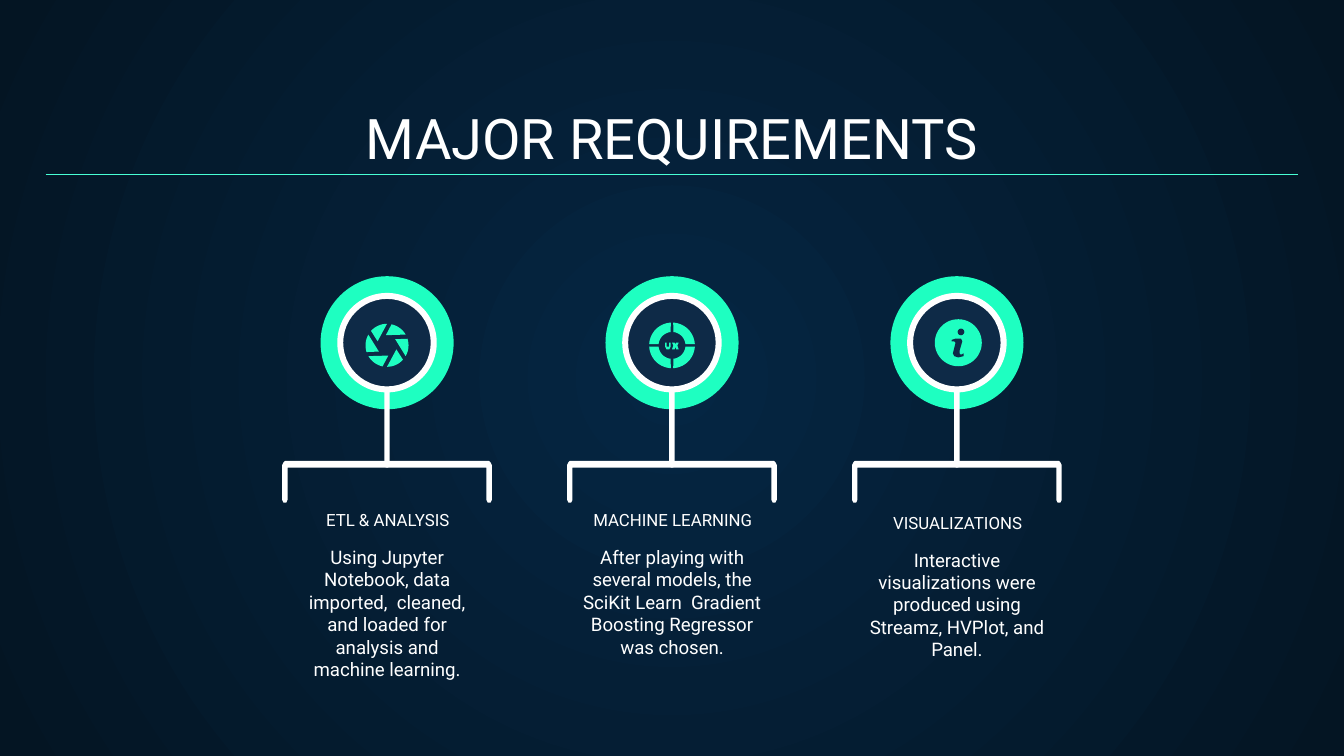
"""Build the major requirements slide with three icon columns."""
from math import cos, radians, sin

from lxml import etree
from pptx import Presentation
from pptx.dml.color import RGBColor
from pptx.enum.shapes import MSO_CONNECTOR, MSO_SHAPE
from pptx.enum.text import MSO_ANCHOR, PP_ALIGN
from pptx.oxml.ns import qn
from pptx.util import Inches, Pt

OVAL, DONUT, ROUND = MSO_SHAPE.OVAL, MSO_SHAPE.DONUT, MSO_SHAPE.ROUNDED_RECTANGLE
TOP, BOTTOM = MSO_ANCHOR.TOP, MSO_ANCHOR.BOTTOM
CENTER = PP_ALIGN.CENTER
STRAIGHT = MSO_CONNECTOR.STRAIGHT
HUES = {"white": "FFFFFF", "mint": "1EFFC1", "navy": "0E2A47",
        "line": "48FFD5", "core": "052643", "edge": "041523"}
TINT = {name: RGBColor.from_string(code) for name, code in HUES.items()}

deck = Presentation()
deck.slide_width = Inches(10)
deck.slide_height = Inches(10) * 9 // 16
slide = deck.slides.add_slide(deck.slide_layouts[6])
shapes = slide.shapes

back = slide.background.fill
back.gradient()
for stop, name in zip(back.gradient_stops, ("core", "edge")):
    stop.color.rgb = TINT[name]
grad = slide.element.find(".//" + qn("a:gradFill"))
grad.remove(grad.find(qn("a:lin")))
glow = etree.SubElement(grad, qn("a:path"), {"path": "circle"})
etree.SubElement(glow, qn("a:fillToRect"), dict.fromkeys("ltrb", "50000"))


def draw(kind, x, y, w, h, hue):
    """Draw a preset shape, or an outline around (x, y) if kind is a list."""
    if isinstance(kind, list):
        spots = [(Inches(x + a), Inches(y + b)) for a, b in kind]
        pen = shapes.build_freeform(*spots[0])
        pen.add_line_segments(spots[1:])
        shape = pen.convert_to_shape()
    else:
        shape = shapes.add_shape(kind, Inches(x - w / 2), Inches(y - h / 2), Inches(w), Inches(h))
    shape.shadow.inherit = False
    shape.fill.solid()
    shape.fill.fore_color.rgb = TINT[hue]
    shape.line.fill.background()
    return shape


def write(text, x, y, w, h, size, anchor):
    """Write a centred text box."""
    frame = shapes.add_textbox(Inches(x), Inches(y), Inches(w), Inches(h)).text_frame
    frame.word_wrap = True
    frame.vertical_anchor = anchor
    frame.margin_left = frame.margin_right = Inches(0.1)
    frame.margin_top = frame.margin_bottom = Inches(0.1)
    frame.text = text
    para = frame.paragraphs[0]
    para.alignment = CENTER
    font = para.runs[0].font
    font.name, font.size, font.color.rgb = "Roboto", Pt(size), TINT["white"]


write("MAJOR REQUIREMENTS", 0.34, 0.71, 9.32, 0.66, 30, BOTTOM)

half = [(0.74, 0.05), (0.74, 0.29), (0.75, 0.31), (0.77, 0.31),
        (0.78, 0.29), (0.78, 0.03), (0.77, 0.01), (0.76, 0)]
brace = half + [(-a, b) for a, b in reversed(half)]
columns = [
    ("ETL & ANALYSIS", 2.88, 0,
     "Using Jupyter Notebook, data imported,  cleaned, and loaded for analysis and machine learning."),
    ("MACHINE LEARNING", 5, 0,
     "After playing with several models, the SciKit Learn  Gradient Boosting Regressor was chosen."),
    ("VISUALIZATIONS", 7.12, 0.02,
     "Interactive visualizations were produced using Streamz, HVPlot, and Panel."),
]
for head, mid, drop, note in columns:
    write(note, mid - 0.76, 3.96 + drop, 1.52, 0.55, 10, TOP)
    write(head, mid - 1.13, 3.81 + drop, 2.27, 0.21, 9, BOTTOM)
    draw(brace, mid, 3.43, 0, 0, "white")
    draw(OVAL, mid, 2.55, 0.99, 0.99, "mint")
    stem = draw(ROUND, mid, 2.98, 0.04, 1, "white")
    stem.adjustments[0] = 0.5
    draw(OVAL, mid, 2.55, 0.7, 0.7, "navy")
    ring = draw(DONUT, mid, 2.55, 0.74, 0.74, "white")
    ring.adjustments[0] = 0.06

blade = [(-0.07, -0.03)]
for deg in range(222, 271, 6):
    blade.append((0.16 * cos(radians(deg)), 0.16 * sin(radians(deg))))
for turn in range(0, 360, 60):
    c, s = cos(radians(turn)), sin(radians(turn))
    draw([(a * c - b * s, a * s + b * c) for a, b in blade], 2.88, 2.57, 0, 0, "mint")

wedge = []
for reach, degs in ((0.17, range(3, 88, 6)), (0.1, range(84, 5, -6))):
    for deg in degs:
        wedge.append((reach * cos(radians(deg)), reach * sin(radians(deg))))
for flip in (-1, 1):
    for rise in (-1, 1):
        draw([(a * flip, b * rise) for a, b in wedge], 5, 2.57, 0, 0, "mint")

cup = [(-0.05, -0.02), (-0.04, -0.02), (-0.04, 0.01), (-0.02, 0.01), (-0.02, -0.02),
       (-0.01, -0.02), (-0.01, 0.01), (-0.02, 0.03), (-0.04, 0.03), (-0.05, 0.01)]
cross = [(0, -0.02), (0.02, -0.02), (0.03, -0.01), (0.03, -0.02), (0.05, -0.02),
         (0.04, 0), (0.05, 0.03), (0.03, 0.03), (0.03, 0.01), (0.02, 0.03), (0, 0.03), (0.01, 0)]
for glyph in (cup, cross):
    draw(glyph, 5, 2.57, 0, 0, "mint")

draw(OVAL, 7.13, 2.55, 0.35, 0.35, "mint")
draw(OVAL, 7.15, 2.47, 0.05, 0.05, "navy")
hook = [(-0.05, -0.02), (-0.02, -0.03), (0.02, -0.03), (0.03, -0.01), (0.01, 0.06),
        (0.01, 0.08), (0.02, 0.09), (0.04, 0.08), (0.04, 0.1), (0, 0.11),
        (-0.03, 0.1), (-0.04, 0.08), (-0.02, 0), (-0.03, -0.01), (-0.05, -0.01)]
draw(hook, 7.13, 2.55, 0, 0, "navy")

rule = shapes.add_connector(STRAIGHT, Inches(0.34), Inches(1.3), Inches(9.66), Inches(1.3))
rule.line.color.rgb = TINT["line"]
rule.line.width = Pt(0.75)
etree.SubElement(rule._element.spPr, qn("a:effectLst"))

deck.save("out.pptx")
